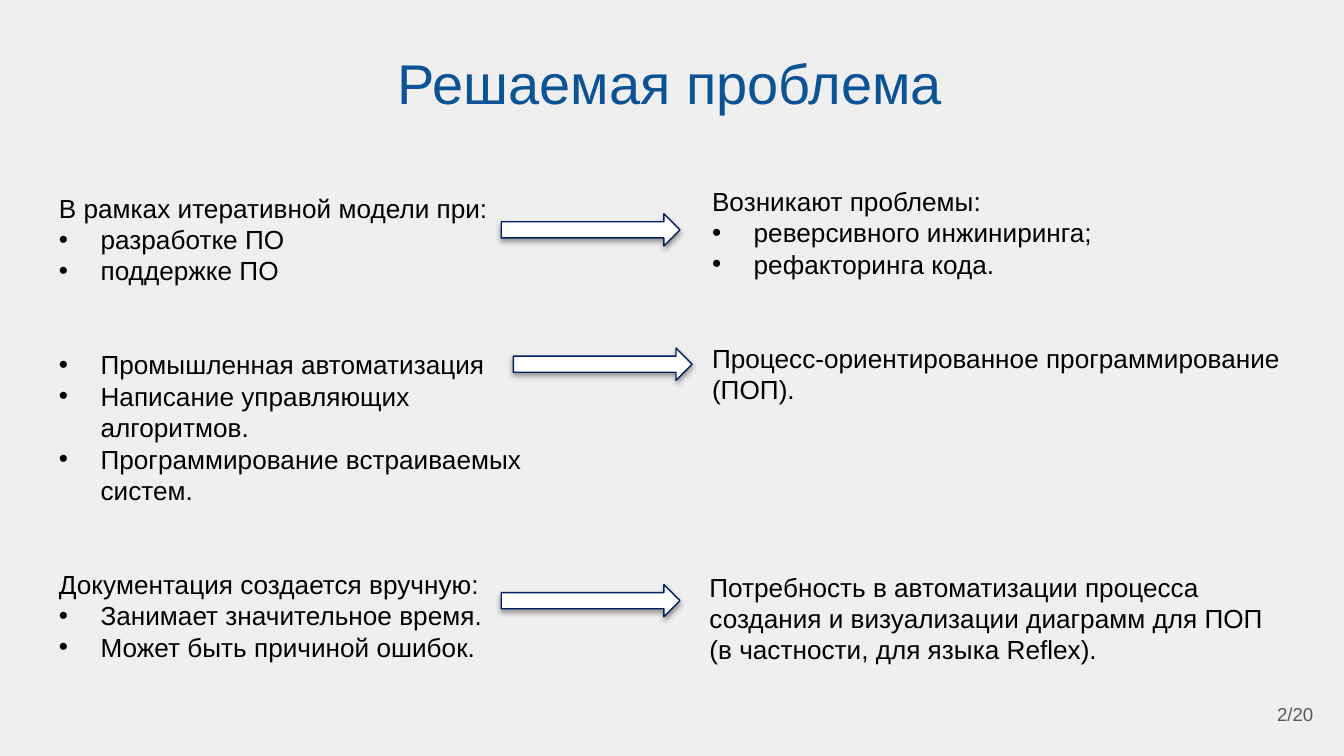
"""Build the slide that links problem contexts to their consequences."""
from dataclasses import dataclass

from lxml.etree import SubElement
from pptx import Presentation
from pptx.dml.color import RGBColor
from pptx.enum.shapes import MSO_SHAPE
from pptx.enum.text import MSO_ANCHOR, PP_ALIGN
from pptx.oxml.ns import qn
from pptx.slide import Slide
from pptx.util import Inches, Pt

COLORS = {
    "background": "EFEFEF",
    "title": "0B5394",
    "body": "000000",
    "number": "595959",
    "arrow": "FFFFFF",
    "outline": "002060",
    "shadow": "000000",
}
FONT = "Arial"
WIDTH = 10
HEIGHT = WIDTH * 9 / 16
BODY_SIZE = 14
LINE_HEIGHT = 16.8
GROUP_GAP = 2 * LINE_HEIGHT
INDENT = Inches(0.31)


@dataclass
class Line:
    text: str
    bullet: bool = False
    gap: float = 0


@dataclass
class Column:
    left: float
    top: float
    width: float
    height: float
    lines: list[Line]


@dataclass
class Label:
    text: str
    left: float
    top: float
    width: float
    height: float
    size: int
    color: str
    align: PP_ALIGN
    anchor: MSO_ANCHOR


@dataclass
class Arrow:
    left: float
    top: float
    width: float = 1.33
    height: float = 0.24


LABELS = [
    Label("Решаемая проблема", 0.41, 0.14, 9.15, 0.82, 30, "title", PP_ALIGN.CENTER, MSO_ANCHOR.BOTTOM),
    Label("2/20", 9.27, 5.1, 0.6, 0.43, 10, "number", PP_ALIGN.RIGHT, MSO_ANCHOR.MIDDLE),
]
COLUMNS = [
    Column(0.34, 1.38, 3.72, 3.87, [
        Line("В рамках итеративной модели при:"),
        Line("разработке ПО", True),
        Line("поддержке ПО", True),
        Line("Промышленная автоматизация", True, GROUP_GAP),
        Line("Написание управляющих алгоритмов.", True),
        Line("Программирование встраиваемых систем.", True),
        Line("Документация создается вручную:", gap=GROUP_GAP),
        Line("Занимает значительное время.", True),
        Line("Может быть причиной ошибок.", True),
    ]),
    Column(5.2, 1.33, 4.44, 1.99, [
        Line("Возникают проблемы:"),
        Line("реверсивного инжиниринга;", True),
        Line("рефакторинга кода.", True),
        Line("Процесс-ориентированное программирование (ПОП).", gap=GROUP_GAP),
    ]),
    Column(5.18, 4.2, 4.49, 1.04, [
        Line("Потребность в автоматизации процесса создания и визуализации "
             "диаграмм для ПОП (в частности, для языка Reflex)."),
    ]),
]
ARROWS = [Arrow(3.73, 1.59), Arrow(3.82, 2.59), Arrow(3.73, 4.35)]


def rgb(name: str) -> RGBColor:
    """Return a named colour."""
    return RGBColor.from_string(COLORS[name])


def add_frame(s: Slide, box: Column | Label):
    """Add a wrapping text box and return its text frame."""
    sp = s.shapes.add_textbox(Inches(box.left), Inches(box.top), Inches(box.width), Inches(box.height))
    tf = sp.text_frame
    tf.word_wrap = True
    return tf


def add_run(p, text: str, size: int, color: str) -> None:
    """Append a formatted run to a paragraph."""
    r = p.add_run()
    r.text = text
    r.font.name = FONT
    r.font.size = Pt(size)
    r.font.color.rgb = rgb(color)


def set_bullet(p) -> None:
    """Give a paragraph a hanging bullet."""
    pPr = p._p.get_or_add_pPr()
    pPr.set("marL", str(INDENT))
    pPr.set("indent", str(-INDENT))
    color = SubElement(pPr, qn("a:buClr"))
    SubElement(color, qn("a:srgbClr"), val=COLORS["body"])
    SubElement(pPr, qn("a:buFont"), typeface=FONT)
    SubElement(pPr, qn("a:buChar"), char="•")


def draw_label(s: Slide, label: Label) -> None:
    """Draw a single-line label."""
    tf = add_frame(s, label)
    tf.margin_left = tf.margin_right = tf.margin_top = tf.margin_bottom = Inches(0.1)
    tf.vertical_anchor = label.anchor
    p = tf.paragraphs[0]
    p.alignment = label.align
    add_run(p, label.text, label.size, label.color)


def draw_column(s: Slide, column: Column) -> None:
    """Draw a text column with grouped lines."""
    tf = add_frame(s, column)
    for i, line in enumerate(column.lines):
        p = tf.add_paragraph() if i else tf.paragraphs[0]
        p.line_spacing = Pt(LINE_HEIGHT)
        p.space_before = Pt(line.gap)
        if line.bullet:
            set_bullet(p)
        add_run(p, line.text, BODY_SIZE, "body")


def draw_arrow(s: Slide, arrow: Arrow) -> None:
    """Draw a block arrow with a soft shadow below."""
    sp = s.shapes.add_shape(MSO_SHAPE.RIGHT_ARROW, Inches(arrow.left), Inches(arrow.top),
                            Inches(arrow.width), Inches(arrow.height))
    sp.fill.solid()
    sp.fill.fore_color.rgb = rgb("arrow")
    sp.line.color.rgb = rgb("outline")
    sp.line.width = Pt(0.75)
    sp.shadow.inherit = False
    effects = sp._element.spPr.find(qn("a:effectLst"))
    shadow = SubElement(effects, qn("a:outerShdw"), blurRad=str(Pt(3.1)), dist=str(Pt(1.6)),
                        dir="5400000", rotWithShape="0")
    color = SubElement(shadow, qn("a:srgbClr"), val=COLORS["shadow"])
    SubElement(color, qn("a:alpha"), val="38000")


def main() -> None:
    """Build and save the presentation."""
    prs = Presentation()
    prs.slide_width, prs.slide_height = Inches(WIDTH), Inches(HEIGHT)
    s = prs.slides.add_slide(prs.slide_layouts[6])
    s.background.fill.solid()
    s.background.fill.fore_color.rgb = rgb("background")
    for column in COLUMNS:
        draw_column(s, column)
    for arrow in ARROWS:
        draw_arrow(s, arrow)
    for label in LABELS:
        draw_label(s, label)
    prs.save("out.pptx")


if __name__ == "__main__":
    main()
